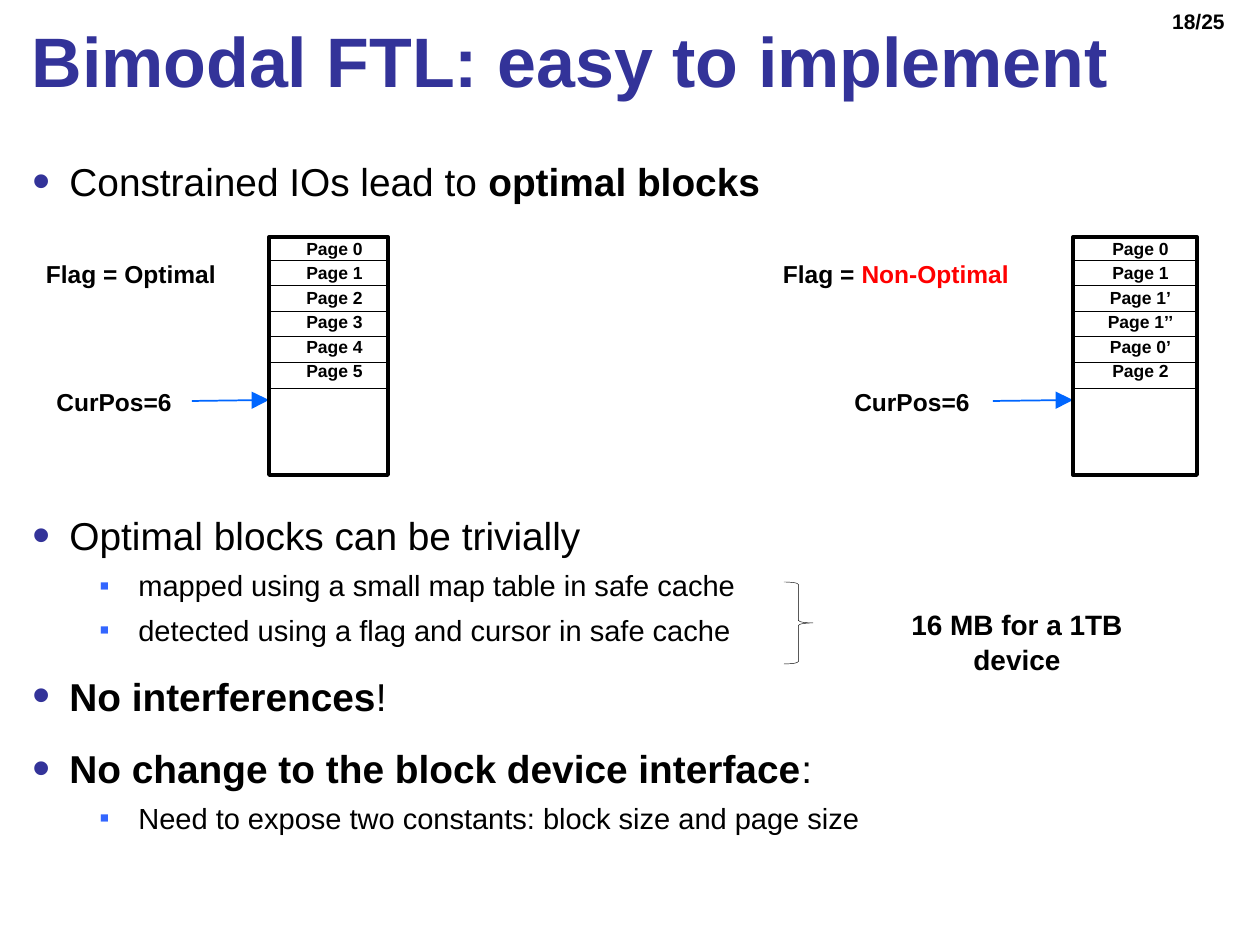
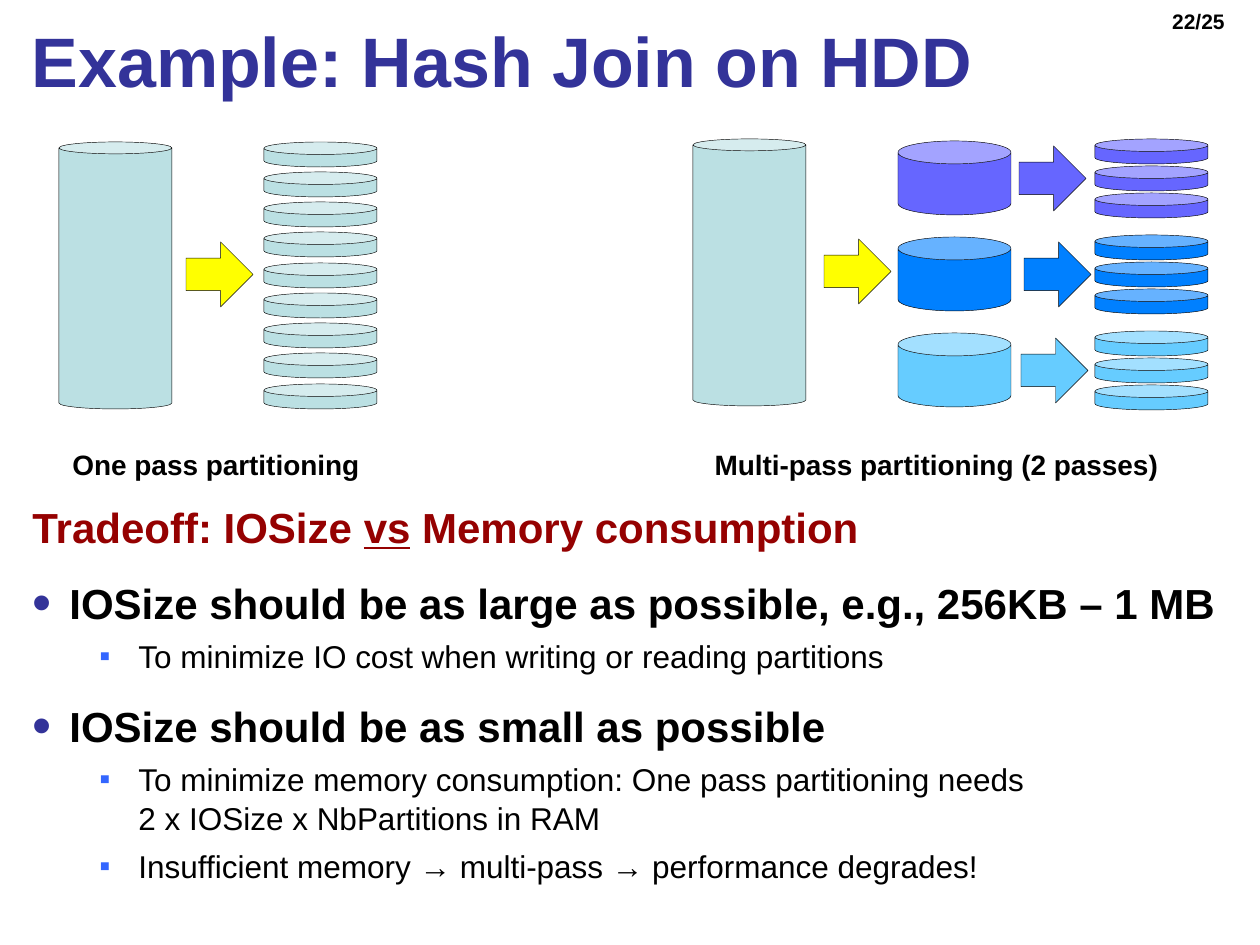
from dataclasses import dataclass

from lxml.etree import SubElement
from pptx import Presentation
from pptx.dml.color import RGBColor
from pptx.enum.shapes import MSO_CONNECTOR as Connector, MSO_SHAPE as Shape
from pptx.enum.text import MSO_ANCHOR as Anchor, MSO_AUTO_SIZE as AutoSize, PP_ALIGN as Align
from pptx.oxml.ns import qn
from pptx.util import Emu, Pt

EMU_PER_PX = 914400 / 126
FONT = "Arial"
LINE_SPACING = 1.04
BLACK, INDIGO, RED, DARK_RED = "000000", "333399", "FF0000", "950101"
BULLET_BLUE, ARROW_BLUE = "3366FF", "0066FF"
PALE_TEAL, YELLOW = "BBE0E3", "FFFF00"
HAIRLINE = 0.25


@dataclass(frozen=True)
class Box:
    left: int
    top: int
    width: int
    height: int

    def emu(self) -> list[Emu]:
        return [px(n) for n in (self.left, self.top, self.width, self.height)]


@dataclass(frozen=True)
class Span:
    text: str
    bold: bool | None = None
    color: str | None = None
    underline: bool | None = None


@dataclass(frozen=True)
class Bullet:
    character: str
    color: str
    percent: int
    margin: int
    hanging: int
    level: int


@dataclass(frozen=True)
class Line:
    """One paragraph; line breaks inside a span are written as newlines."""
    spans: list[Span]
    size: float
    bold: bool | None = None
    color: str = BLACK
    align: Align = Align.LEFT
    before: float = 0
    bullet: Bullet | None = None


@dataclass(frozen=True)
class FlashBlock:
    frame: Box
    pages: list[str]
    page_box: Box
    flag: list[Span]
    flag_box: Box
    cursor_box: Box
    arrow_start: int


@dataclass(frozen=True)
class PartitionRow:
    color: str
    arrow_left: int


DOT = Bullet("•", INDIGO, 130, 37, 37, 0)
SQUARE = Bullet("▪", BULLET_BLUE, 100, 106, 39, 1)


def px(value: float) -> Emu:
    return Emu(round(value * EMU_PER_PX))


def rgb(color: str) -> RGBColor:
    return RGBColor.from_string(color)


# Text
def add_bullet(paragraph, bullet: Bullet) -> None:
    paragraph.level = bullet.level
    properties = paragraph._p.get_or_add_pPr()
    properties.set("marL", str(px(bullet.margin)))
    properties.set("indent", str(-px(bullet.hanging)))
    color = SubElement(properties, qn("a:buClr"))
    SubElement(color, qn("a:srgbClr"), val=bullet.color)
    SubElement(properties, qn("a:buSzPct"), val=str(bullet.percent * 1000))
    SubElement(properties, qn("a:buFont"), typeface=FONT)
    SubElement(properties, qn("a:buChar"), char=bullet.character)


def write_line(paragraph, line: Line) -> None:
    if line.bullet:
        add_bullet(paragraph, line.bullet)
    paragraph.alignment = line.align
    paragraph.line_spacing = LINE_SPACING
    paragraph.space_before = Pt(line.before)
    font = paragraph.font
    font.name, font.size, font.bold = FONT, Pt(line.size), line.bold
    font.color.rgb = rgb(line.color)
    for span in line.spans:
        for index, part in enumerate(span.text.split("\n")):
            if index:
                paragraph.add_line_break()
            run = paragraph.add_run()
            run.text = part
            if span.bold is not None:
                run.font.bold = span.bold
            if span.underline is not None:
                run.font.underline = span.underline
            if span.color:
                run.font.color.rgb = rgb(span.color)


def write_lines(frame, lines: list[Line]) -> None:
    for index, line in enumerate(lines):
        write_line(frame.add_paragraph() if index else frame.paragraphs[0], line)


def add_text(slide, box: Box, lines: list[Line], wrap: bool = True) -> None:
    frame = slide.shapes.add_textbox(*box.emu()).text_frame
    frame.word_wrap = wrap
    write_lines(frame, lines)


def add_label(slide, box: Box, spans: list[Span], size: float, wrap: bool = True) -> None:
    add_text(slide, box, [Line(spans, size, True, align=Align.CENTER)], wrap)


def item(*spans: Span, size: float, before: float = 13.5, bold: bool | None = None) -> Line:
    return Line(list(spans), size, bold, before=before, bullet=DOT)


def subitem(text: str, size: float) -> Line:
    return Line([Span(text)], size, before=4.5, bullet=SQUARE)


# Shapes
def add_shape(slide, kind: Shape, box: Box, fill: str | None = None,
              line_width: float = HAIRLINE, adjustment: float | None = None) -> None:
    shape = slide.shapes.add_shape(kind, *box.emu())
    shape.shadow.inherit = False
    if fill:
        shape.fill.solid()
        shape.fill.fore_color.rgb = rgb(fill)
    else:
        shape.fill.background()
    shape.line.color.rgb = rgb(BLACK)
    shape.line.width = Pt(line_width)
    if adjustment is not None:
        shape.adjustments[0] = adjustment


def add_line(slide, start: tuple[int, int], end: tuple[int, int],
             color: str = BLACK, width: float = HAIRLINE, arrow: bool = False) -> None:
    points = [px(n) for n in (*start, *end)]
    connector = slide.shapes.add_connector(Connector.STRAIGHT, *points)
    connector.line.color.rgb = rgb(color)
    connector.line.width = Pt(width)
    if arrow:
        SubElement(connector.line._get_or_add_ln(), qn("a:tailEnd"),
                   type="triangle", w="lg", len="lg")
    SubElement(connector._element.spPr, qn("a:effectLst"))


def add_titled_slide(presentation, title: str, page: str):
    slide = presentation.slides.add_slide(presentation.slide_layouts[5])
    shape = slide.shapes.title
    shape.left, shape.top, shape.width, shape.height = Box(19, 0, 1222, 108).emu()
    frame = shape.text_frame
    frame.vertical_anchor = Anchor.BOTTOM
    frame.auto_size = AutoSize.NONE
    write_lines(frame, [Line([Span(title)], 40, True, INDIGO)])
    add_label(slide, Box(1137, 1, 123, 63), [Span(page)], 12)
    return slide


# Slide: bimodal FTL
def draw_flash_block(slide, block: FlashBlock) -> None:
    frame = block.frame
    add_line(slide, (block.arrow_start, 401), (frame.left, 400), ARROW_BLUE, 1, True)
    add_text(slide, block.page_box, [
        Line([Span(page)], 10, True, align=Align.CENTER, before=1.5 if index else 0)
        for index, page in enumerate(block.pages)])
    add_shape(slide, Shape.RECTANGLE, frame, line_width=2.25)
    for index in range(len(block.pages)):
        y = 260 + index * 128 // 5
        add_line(slide, (frame.left, y), (frame.left + frame.width, y))
    add_label(slide, block.flag_box, block.flag, 14)
    add_label(slide, block.cursor_box, [Span("CurPos=6")], 14)


def build_ftl_slide(presentation) -> None:
    slide = add_titled_slide(presentation, "Bimodal FTL: easy to implement", "18/25")
    size, small = 22.2, 16.6
    add_text(slide, Box(20, 150, 1217, 727), [
        item(Span("Constrained IOs lead to "), Span("optimal blocks", True), size=size, before=0),
        item(Span("Optimal blocks can be trivially"), size=size, before=174.5),
        subitem("mapped using a small map table in safe cache", small),
        subitem("detected using a flag and cursor in safe cache", small),
        item(Span("No interferences", True), Span("!"), size=size),
        item(Span("No change to the block device interface", True), Span(":"), size=size),
        subitem("Need to expose two constants: block size and page size", small),
    ])
    add_label(slide, Box(852, 600, 330, 47), [Span("16 MB for a 1TB device")], 16, False)
    add_shape(slide, Shape.RIGHT_BRACE, Box(784, 582, 29, 82))
    blocks = [
        FlashBlock(Box(269, 237, 119, 238), [f"Page {n}" for n in range(6)],
                   Box(285, 231, 99, 176), [Span("Flag = Optimal")],
                   Box(18, 252, 226, 43), Box(29, 380, 170, 43), 192),
        FlashBlock(Box(1073, 237, 124, 238),
                   ["Page 0", "Page 1", "Page 1’", "Page 1’’", "Page 0’", "Page 2"],
                   Box(1089, 231, 103, 176), [Span("Flag = "), Span("Non-Optimal", color=RED)],
                   Box(745, 252, 302, 43), Box(824, 380, 176, 43), 993),
    ]
    for block in blocks:
        draw_flash_block(slide, block)


# Slide: hash join
def draw_table_can(slide, left: int, top: int) -> None:
    add_shape(slide, Shape.CAN, Box(left, top, 113, 267), PALE_TEAL, adjustment=0.105)


def draw_slice(slide, left: int, top: int, color: str) -> None:
    add_shape(slide, Shape.CAN, Box(left, top, 113, 25), color, adjustment=0.5)


def draw_arrow(slide, left: int, top: int, color: str) -> None:
    add_shape(slide, Shape.RIGHT_ARROW, Box(left, top, 67, 65), color)


def build_hash_join_slide(presentation) -> None:
    slide = add_titled_slide(presentation, "Example: Hash Join on HDD", "22/25")
    size, small = 24, 18
    add_text(slide, Box(20, 493, 1217, 430), [
        Line([Span("Tradeoff: IOSize "), Span("vs", underline=True),
              Span(" Memory consumption")], size, True, DARK_RED),
        item(Span("IOSize should be as large as possible, e.g., 256KB – 1 MB"),
             size=size, bold=True),
        subitem("To minimize IO cost when writing or reading partitions", small),
        item(Span("IOSize should be as small as possible"), size=size, bold=True),
        subitem("To minimize memory consumption: One pass partitioning needs\n"
                "2 x IOSize x NbPartitions in RAM", small),
        subitem("Insufficient memory → multi-pass → performance degrades!", small),
    ])

    # One pass
    draw_table_can(slide, 59, 142)
    for index in range(9):
        draw_slice(slide, 264, 142 + index * 242 // 8, PALE_TEAL)
    draw_arrow(slide, 186, 242, YELLOW)

    # Two passes
    draw_table_can(slide, 693, 139)
    draw_arrow(slide, 824, 239, YELLOW)
    rows = [PartitionRow("6666FF", 1019), PartitionRow("0080FF", 1024),
            PartitionRow("66CCFF", 1021)]
    for row_index, row in enumerate(rows):
        top = 139 + 96 * row_index
        add_shape(slide, Shape.CAN, Box(898, top + 2, 113, 74), row.color, adjustment=0.31)
        draw_arrow(slide, row.arrow_left, top + 7, row.color)
        for index in range(3):
            draw_slice(slide, 1095, top + 27 * index, row.color)

    add_label(slide, Box(60, 440, 312, 47), [Span("One pass partitioning")], 16, False)
    add_label(slide, Box(702, 440, 469, 47),
              [Span("Multi-pass partitioning (2 passes)")], 16, False)


def main() -> None:
    presentation = Presentation()
    presentation.slide_width, presentation.slide_height = px(1260), px(945)
    build_ftl_slide(presentation)
    build_hash_join_slide(presentation)
    presentation.save("out.pptx")


if __name__ == "__main__":
    main()
